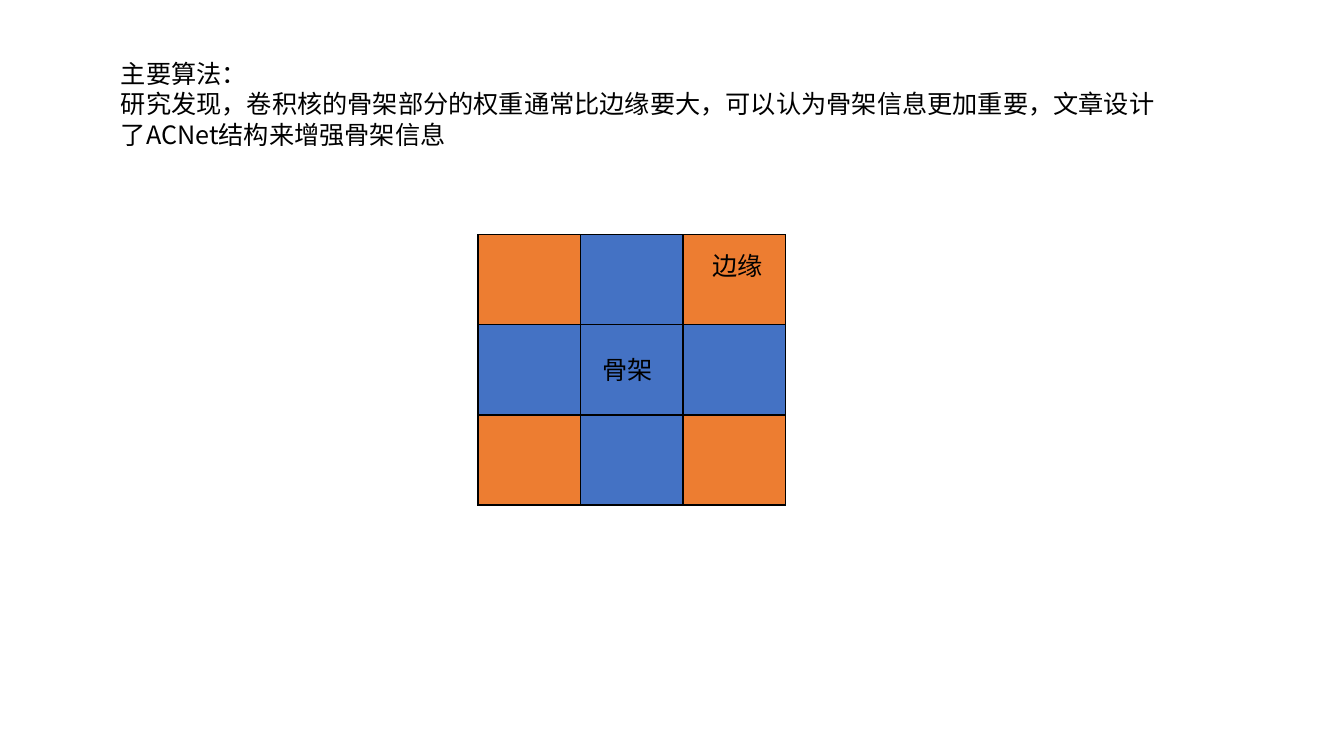
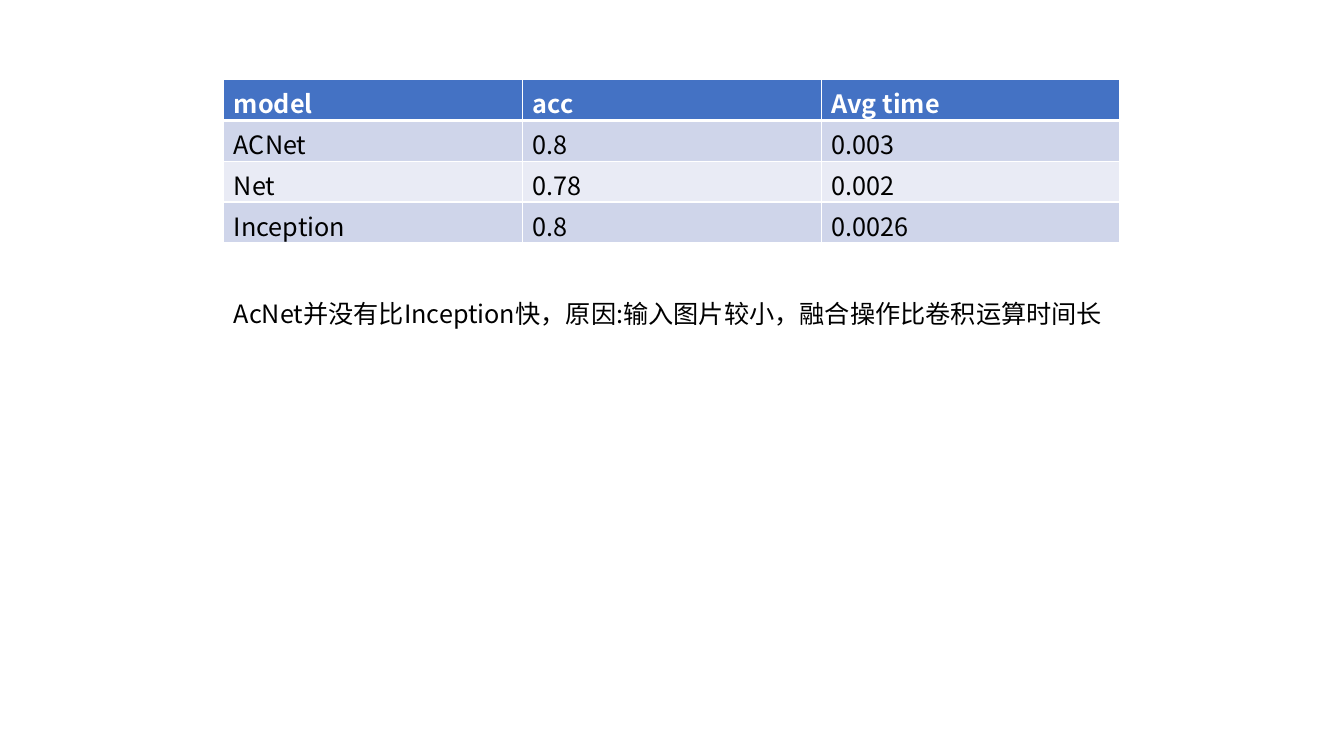
"""Build two slides on the ACNet kernel skeleton and its results."""
import pptx
import pptx.dml.color
import pptx.enum.text
import pptx.oxml.ns
import pptx.util
from lxml import etree
from pptx.util import Inches

FONT = "Noto Sans CJK SC"
BLACK, WHITE = "000000", "FFFFFF"
BLUE, ORANGE = "4472C4", "ED7D31"
BANDS = ("CFD5EA", "E9EBF5")


def color(code):
    return pptx.dml.color.RGBColor.from_string(code)


def node(parent, tag, **attrs):
    return etree.SubElement(parent, pptx.oxml.ns.qn(tag), **attrs)


def add_run(para, text, code=BLACK, bold=False):
    run = para.add_run()
    run.text = text
    run.font.size = pptx.util.Pt(18)
    run.font.bold = bold
    run.font.color.rgb = color(code)
    run.font.name = FONT
    node(run.font._element, "a:ea", typeface=FONT)


def add_text(slide, left, top, width, height, *lines):
    box = slide.shapes.add_textbox(
        Inches(left), Inches(top), Inches(width), Inches(height))
    frame = box.text_frame
    frame.word_wrap = True
    frame.auto_size = pptx.enum.text.MSO_AUTO_SIZE.SHAPE_TO_FIT_TEXT
    for i, line in enumerate(lines):
        para = frame.add_paragraph() if i else frame.paragraphs[0]
        add_run(para, line)


def add_edge(cell, side, code, width):
    props = cell._tc.get_or_add_tcPr()
    line = node(props, "a:ln" + side, w=str(pptx.util.Pt(width)))
    fill = node(line, "a:solidFill")
    node(fill, "a:srgbClr", val=code)


def style_cell(cell, fill, edge, top=1, bottom=1):
    for side, width in zip("LRTB", (1, 1, top, bottom)):
        add_edge(cell, side, edge, width)
    cell.fill.solid()
    cell.fill.fore_color.rgb = color(fill)


def add_grid(slide, left, top, width, height, rows, cols):
    frame = slide.shapes.add_table(
        rows, cols, Inches(left), Inches(top), Inches(width), Inches(height))
    table = frame.table
    table.first_row = table.horz_banding = False
    return table


def add_kernel(slide):
    table = add_grid(slide, 4.74, 2.33, 3.05, 2.68, 3, 3)
    for row in range(3):
        for col in range(3):
            fill = BLUE if 1 in (row, col) else ORANGE
            style_cell(table.cell(row, col), fill, BLACK)


def add_scores(slide):
    data = (
        ("model", "acc", "Avg time"),
        ("ACNet", "0.8", "0.003"),
        ("Net", "0.78", "0.002"),
        ("Inception", "0.8", "0.0026"),
    )
    table = add_grid(slide, 2.22, 0.79, 8.89, 1.62, len(data), len(data[0]))
    for row, items in enumerate(data):
        head = row == 0
        fill = BLUE if head else BANDS[(row - 1) % 2]
        for col, text in enumerate(items):
            cell = table.cell(row, col)
            style_cell(cell, fill, WHITE,
                       top=3 if row == 1 else 1, bottom=3 if head else 1)
            add_run(cell.text_frame.paragraphs[0], text,
                    WHITE if head else BLACK, head)


def add_method(deck):
    slide = deck.slides.add_slide(deck.slide_layouts[6])
    add_text(slide, 1.1, 0.53, 10.49, 1.31,
             "主要算法：",
             "研究发现，卷积核的骨架部分的权重通常比边缘要大，"
             "可以认为骨架信息更加重要，文章设计了ACNet结构来增强骨架信息")
    add_kernel(slide)
    add_text(slide, 5.88, 3.47, 0.76, 0.4, "骨架")
    add_text(slide, 6.97, 2.43, 0.76, 0.4, "边缘")


def add_result(deck):
    slide = deck.slides.add_slide(deck.slide_layouts[6])
    add_scores(slide)
    add_text(slide, 2.22, 2.91, 8.89, 0.4,
             "AcNet并没有比Inception快，原因:输入图片较小，"
             "融合操作比卷积运算时间长")


def main():
    deck = pptx.Presentation()
    deck.slide_width = Inches(13.33)
    deck.slide_height = Inches(7.5)
    add_method(deck)
    add_result(deck)
    deck.save("out.pptx")


if __name__ == "__main__":
    main()
